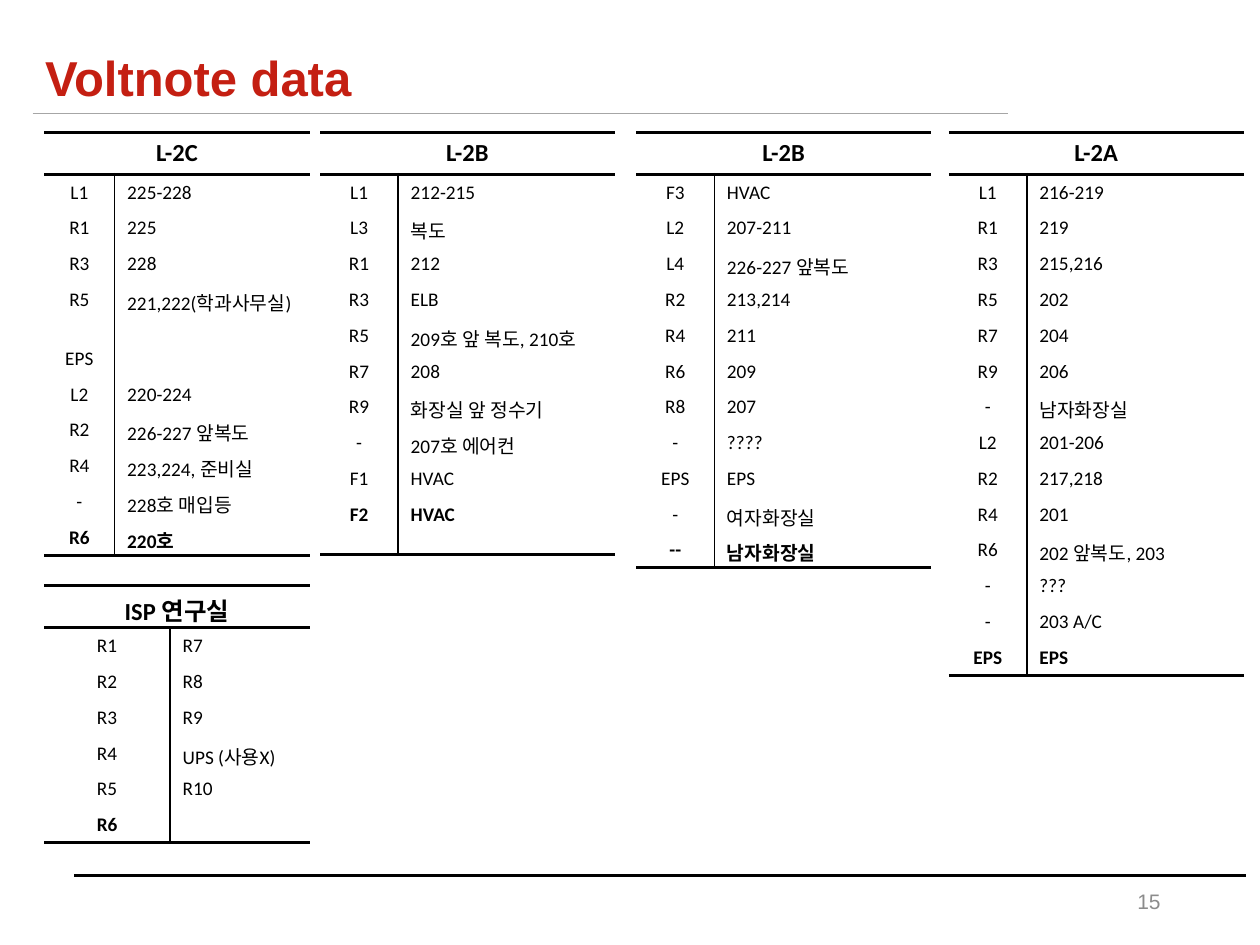
import lxml.etree
import pptx
import pptx.dml.color
import pptx.enum.shapes
import pptx.enum.text
import pptx.oxml.ns
import pptx.util

Inches = pptx.util.Inches
Pt = pptx.util.Pt
qn = pptx.oxml.ns.qn
ALIGN = pptx.enum.text.PP_ALIGN

BLACK, WHITE, RED = "000000", "FFFFFF", "C41F12"
NO_STYLE_NO_GRID = "{2D5ABB26-0587-4C30-8999-92F81FD0307C}"
TOP, HEADER_HEIGHT, ROW_HEIGHT = 1.05, 0.33, 0.28

# title, left, top, column widths, last row height, rows
PANELS = [
    ("L-2C", 0.35, TOP, (0.56, 1.55), ROW_HEIGHT, [
        ("L1", "225-228"), ("R1", "225"), ("R3", "228"),
        ("R5", "221,222(학과사무실)"), ("EPS", ""), ("L2", "220-224"),
        ("R2", "226-227 앞복도"), ("R4", "223,224, 준비실"),
        ("-", "228호 매입등"), ("R6", "220호")]),
    ("L-2B", 2.54, TOP, (0.62, 1.72), 0.46, [
        ("L1", "212-215"), ("L3", "복도"), ("R1", "212"), ("R3", "ELB"),
        ("R5", "209호 앞 복도, 210호"), ("R7", "208"),
        ("R9", "화장실 앞 정수기"), ("-", "207호 에어컨"),
        ("F1", "HVAC"), ("F2", "HVAC")]),
    ("L-2B", 5.05, TOP, (0.62, 1.72), ROW_HEIGHT, [
        ("F3", "HVAC"), ("L2", "207-211"), ("L4", "226-227 앞복도"),
        ("R2", "213,214"), ("R4", "211"), ("R6", "209"), ("R8", "207"),
        ("-", "????"), ("EPS", "EPS"), ("-", "여자화장실"),
        ("--", "남자화장실")]),
    ("L-2A", 7.53, TOP, (0.62, 1.72), ROW_HEIGHT, [
        ("L1", "216-219"), ("R1", "219"), ("R3", "215,216"), ("R5", "202"),
        ("R7", "204"), ("R9", "206"), ("-", "남자화장실"),
        ("L2", "201-206"), ("R2", "217,218"), ("R4", "201"),
        ("R6", "202 앞복도, 203"), ("-", "???"), ("-", "203 A/C"),
        ("EPS", "EPS")]),
    ("ISP 연구실", 0.35, 4.65, (1, 1.11), ROW_HEIGHT, [
        ("R1", "R7"), ("R2", "R8"), ("R3", "R9"), ("R4", "UPS (사용X)"),
        ("R5", "R10"), ("R6", "")]),
]


def rgb(color):
    return pptx.dml.color.RGBColor.from_string(color)


def set_font(paragraph, name, size, color, bold=False):
    font = paragraph.font
    font.name, font.size, font.bold = name, Pt(size), bold
    font.color.rgb = rgb(color)


def add_rule(slide, left, right, y, color, width):
    line = slide.shapes.add_connector(
        pptx.enum.shapes.MSO_CONNECTOR.STRAIGHT,
        Inches(left), Inches(y), Inches(right), Inches(y))
    line.line.color.rgb = rgb(color)
    line.line.width = Pt(width)
    lxml.etree.SubElement(line._element.spPr, qn("a:effectLst"))


def add_text(slide, text, box, size, color, bold=False, align=ALIGN.LEFT,
             anchor=pptx.enum.text.MSO_ANCHOR.TOP):
    frame = slide.shapes.add_textbox(*map(Inches, box)).text_frame
    frame.word_wrap = True
    frame.vertical_anchor = anchor
    paragraph = frame.paragraphs[0]
    paragraph.text = text
    paragraph.alignment = align
    set_font(paragraph, "Arial", size, color, bold)


def set_borders(cell, **widths):
    """Draw black borders, in points, on the sides L, R, T and B."""
    properties = cell._tc.get_or_add_tcPr()
    for side in "LRTB":
        if side in widths:
            line = lxml.etree.SubElement(
                properties, qn(f"a:ln{side}"), w=str(Pt(widths[side])))
            fill = lxml.etree.SubElement(line, qn("a:solidFill"))
            lxml.etree.SubElement(fill, qn("a:srgbClr"), val=BLACK)


def write_cell(cell, text, size, bold, align):
    paragraph = cell.text_frame.paragraphs[0]
    paragraph.text = text
    paragraph.alignment = align
    set_font(paragraph, "Calibri", size, BLACK, bold)
    if not text:  # an empty cell takes its line height from the end mark
        lxml.etree.SubElement(
            paragraph._p, qn("a:endParaRPr"), sz=str(size * 100))
    cell.fill.solid()
    cell.fill.fore_color.rgb = rgb(WHITE)


def add_panel(slide, title, left, top, widths, last_height, rows):
    heights = [HEADER_HEIGHT] + [ROW_HEIGHT] * (len(rows) - 1) + [last_height]
    table = slide.shapes.add_table(
        len(heights), 2, Inches(left), Inches(top),
        Inches(sum(widths)), Inches(sum(heights))).table
    table._tbl.tblPr.find(qn("a:tableStyleId")).text = NO_STYLE_NO_GRID
    table.first_row = table.horz_banding = False
    for column, width in zip(table.columns, widths):
        column.width = Inches(width)
    for row, height in zip(table.rows, heights):
        row.height = Inches(height)

    header = table.cell(0, 0)
    header.merge(table.cell(0, 1))
    for cell in table.rows[0].cells:
        set_borders(cell, T=2, B=2)
    write_cell(header, title, 14, True, ALIGN.CENTER)

    for index, (circuit, place) in enumerate(rows, 1):
        last = index == len(rows)
        bottom = {"B": 2} if last else {}
        circuit_cell, place_cell = table.cell(index, 0), table.cell(index, 1)
        set_borders(circuit_cell, R=1, **bottom)
        set_borders(place_cell, L=1, **bottom)
        write_cell(circuit_cell, circuit, 11, last, ALIGN.CENTER)
        write_cell(place_cell, place, 11, last, ALIGN.LEFT)


def main():
    presentation = pptx.Presentation()
    presentation.slide_width = Inches(10)
    presentation.slide_height = Inches(7.5)
    slide = presentation.slides.add_slide(presentation.slide_layouts[6])
    add_rule(slide, 0.59, 9.89, 6.95, BLACK, 1.5)
    add_text(slide, "15", (7.06, 6.95, 2.25, 0.4), 12, "8C8C8C",
             align=ALIGN.RIGHT, anchor=pptx.enum.text.MSO_ANCHOR.MIDDLE)
    add_rule(slide, 0.26, 8, 0.9, "A6A6A6", 0.5)
    add_text(slide, "Voltnote data", (0.26, 0.33, 8.84, 0.57), 28, RED,
             bold=True)
    for panel in PANELS:
        add_panel(slide, *panel)
    presentation.save("out.pptx")


if __name__ == "__main__":
    main()
